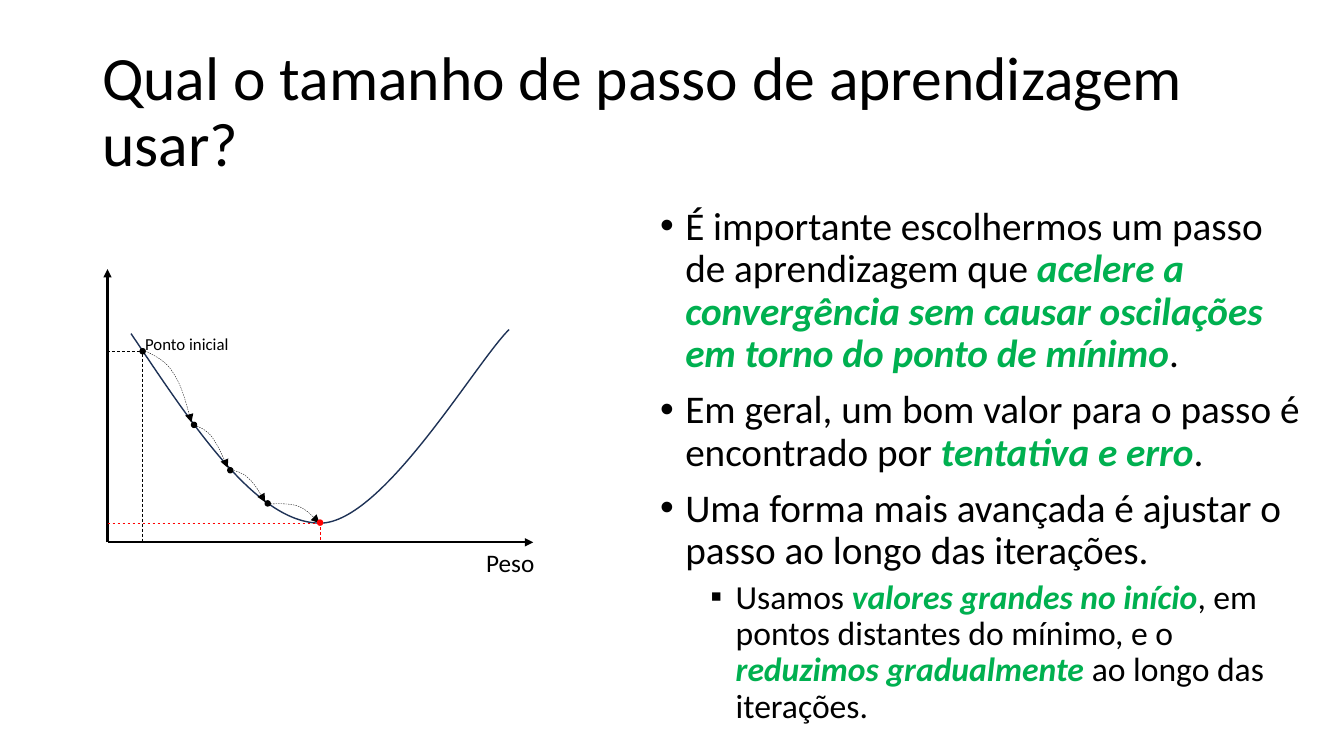
from lxml.etree import SubElement
from pptx import Presentation
from pptx.dml.color import RGBColor
from pptx.enum.dml import MSO_LINE
from pptx.enum.shapes import MSO_CONNECTOR, MSO_SHAPE
from pptx.enum.text import MSO_ANCHOR, PP_ALIGN
from pptx.oxml.ns import qn
from pptx.util import Pt

COLORS = {"black": "000000", "green": "00B050", "red": "FF0000", "navy": "1E3256"}
FONT = "Calibri"

deck = Presentation()
deck.slide_width, deck.slide_height = Pt(960), Pt(540)
slide = deck.slides.add_slide(deck.slide_layouts[6])
shapes = slide.shapes


def style_line(shape, color, width, dashed=False, arrow=False):
    shape.line.color.rgb = RGBColor.from_string(COLORS[color])
    shape.line.width = Pt(width)
    if dashed:
        shape.line.dash_style = MSO_LINE.DASH
    if arrow:
        SubElement(shape.line._get_or_add_ln(), qn("a:tailEnd"), type="triangle")
    properties = shape._element.spPr
    if properties.find(qn("a:effectLst")) is None:
        SubElement(properties, qn("a:effectLst"))


def add_text(left, top, width, height, text="", size=28, align=PP_ALIGN.LEFT):
    box = shapes.add_textbox(Pt(left), Pt(top), Pt(width), Pt(height))
    box.text_frame.word_wrap = True
    para = box.text_frame.paragraphs[0]
    para.text = text
    para.alignment = align
    para.font.name = FONT
    para.font.size = Pt(size)
    para.font.color.rgb = RGBColor.from_string(COLORS["black"])
    return box.text_frame


# Title
title = add_text(66, 28.8, 828, 104.4, "Qual o tamanho de passo de aprendizagem usar?", 44)
title.vertical_anchor = MSO_ANCHOR.MIDDLE
title.paragraphs[0].line_spacing = 0.9

# Bulleted text: level, then pieces alternating between plain and emphasised
bullets = [
    (0, ["É importante escolhermos um passo de aprendizagem que ",
         "acelere a convergência sem causar oscilações em torno do ponto de mínimo", "."]),
    (0, ["Em geral, um bom valor para o passo é encontrado por ", "tentativa e erro", "."]),
    (0, ["Uma forma mais avançada é ajustar o passo ao longo das iterações."]),
    (1, ["Usamos ", "valores grandes no início", ", em pontos distantes do mínimo, e o ",
         "reduzimos gradualmente ", "ao longo das iterações."]),
]
# Per level: size, space before, left margin, bullet character
levels = [(28, 10, 18, "•"), (24, 5, 54, "▪")]
body = add_text(464.4, 144, 475.9, 396)
for index, (level, pieces) in enumerate(bullets):
    size, space, margin, bullet = levels[level]
    para = body.add_paragraph() if index else body.paragraphs[0]
    para.level = level
    para.line_spacing = 0.9
    para.space_before = Pt(space if index else 0)
    properties = para._p.get_or_add_pPr()
    properties.set("marL", str(Pt(margin)))
    properties.set("indent", str(Pt(-18)))
    SubElement(properties, qn("a:buFont"), typeface="Arial")
    SubElement(properties, qn("a:buChar"), char=bullet)
    para.font.name = FONT
    para.font.size = Pt(size)
    para.font.color.rgb = RGBColor.from_string(COLORS["black"])
    for position, piece in enumerate(pieces):
        span = para.add_run()
        span.text = piece
        if position % 2:
            span.font.bold = span.font.italic = True
            span.font.color.rgb = RGBColor.from_string(COLORS["green"])

# Error curve and hops between points: start, then Bézier control points
curves = [
    ("navy", 1, False, [(93.6, 238.3), (139, 306), (183.6, 373.7), (229, 373.7),
                        (273.6, 373), (339.1, 259.9), (363.6, 235.4)]),
    ("black", 0.25, True, [(103.7, 250.6), (110.9, 254.2), (118.8, 257.8), (123.8, 266.4),
                           (129.6, 275), (133.2, 288.7), (136.8, 301.7)]),
    ("black", 0.25, True, [(139, 303.8), (143.3, 305.3), (146.9, 306.7), (151.2, 311.8),
                           (154.8, 316.8), (159.1, 325.4), (162.7, 334.1)]),
    ("black", 0.25, True, [(163.4, 335.5), (167.8, 336.2), (172.8, 337), (177.1, 341.3),
                           (181.4, 344.9), (185.8, 352.1), (189.4, 358.6)]),
    ("black", 0.25, True, [(191.5, 360), (198.7, 360), (205.9, 359.3), (212.4, 361.4),
                           (218.2, 363.6), (223.2, 368.6), (228.2, 373.7)]),
]
for color, width, is_hop, controls in curves:
    start, *others = [(Pt(x), Pt(y)) for x, y in controls]
    builder = shapes.build_freeform(*start)
    builder.add_line_segments(others, close=False)
    curve = builder.convert_to_shape()
    # Every three straight segments become one Bézier segment
    segments = list(curve._element.iter(qn("a:lnTo")))
    outline = segments[0].getparent()
    for first in range(0, len(segments), 3):
        bezier = SubElement(outline, qn("a:cubicBezTo"))
        for segment in segments[first:first + 3]:
            bezier.append(segment[0])
            outline.remove(segment)
    curve.shadow.inherit = False
    curve.fill.background()
    style_line(curve, color, width, dashed=is_hop, arrow=is_hop)

# Axes and dashed guides
lines = [
    (76.8, 387.4, 380.9, 387.4, "black", True),
    (76.8, 387.4, 76.8, 192.2, "black", True),
    (76.8, 373.7, 229, 373.7, "red", False),
    (228.6, 373, 228.6, 386.6, "red", False),
    (76.3, 250.9, 102, 250.9, "black", False),
    (102, 249.1, 102, 388.1, "black", False),
]
for x1, y1, x2, y2, color, is_axis in lines:
    line = shapes.add_connector(MSO_CONNECTOR.STRAIGHT, Pt(x1), Pt(y1), Pt(x2), Pt(y2))
    style_line(line, color, 1.5 if is_axis else 0.5, dashed=not is_axis, arrow=is_axis)

# Points visited, ending at the minimum
dot_size = 3.6
dots = [(101.9, 250.9, "black"), (138.6, 303.5, "black"), (164.5, 335.9, "black"),
        (191.2, 359.6, "black"), (228.6, 373.3, "red")]
for x, y, color in dots:
    dot = shapes.add_shape(MSO_SHAPE.OVAL, Pt(x - dot_size / 2), Pt(y - dot_size / 2),
                           Pt(dot_size), Pt(dot_size))
    dot.shadow.inherit = False
    dot.fill.solid()
    dot.fill.fore_color.rgb = RGBColor.from_string(COLORS[color])
    style_line(dot, color, 1)

# Chart labels
add_text(338.4, 387.4, 50.4, 28.8, "Peso", 18, PP_ALIGN.RIGHT)
add_text(91.4, 234.7, 84.2, 21.6, "Ponto inicial", 12, PP_ALIGN.CENTER)

deck.save("out.pptx")
